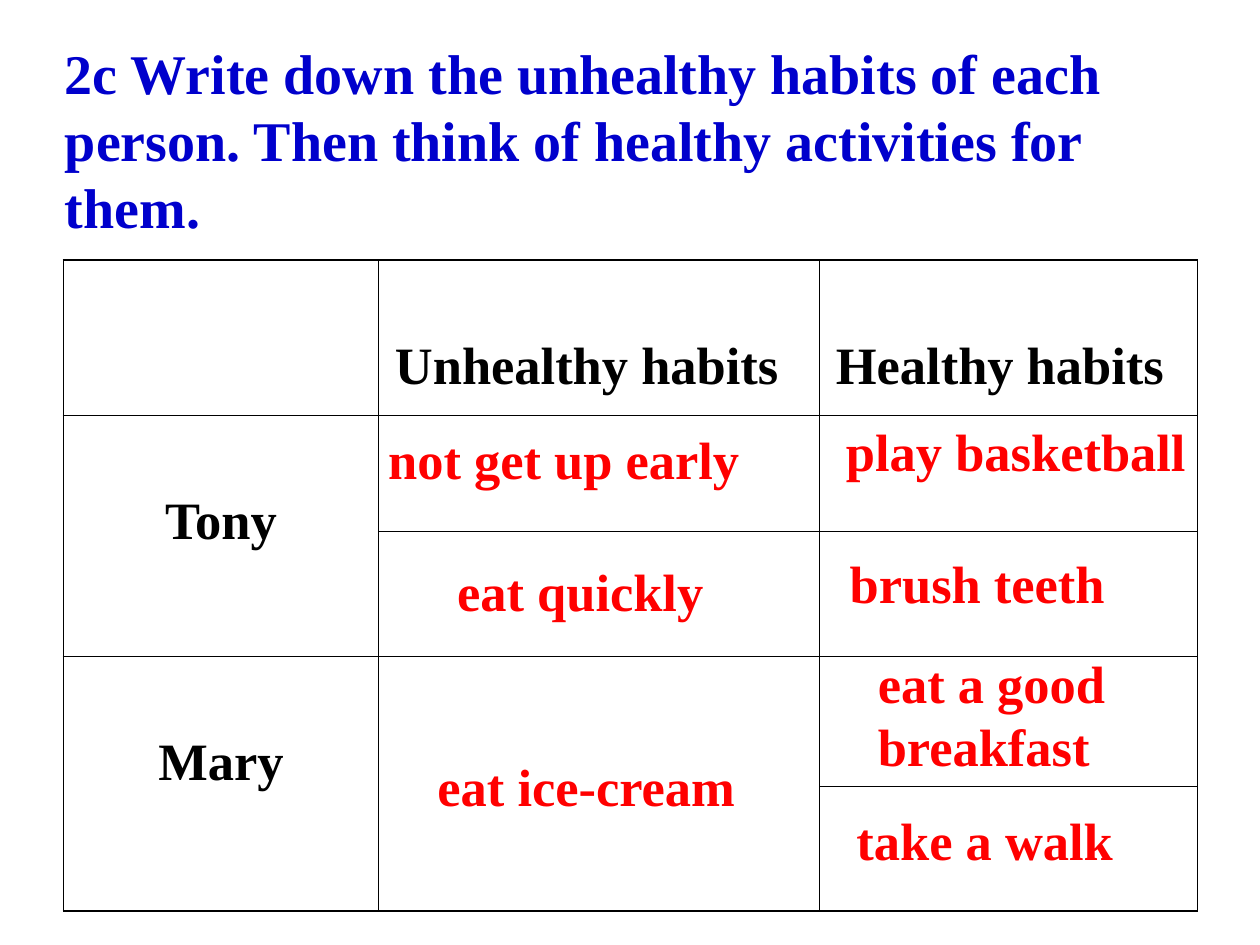
from lxml.etree import SubElement
from pptx import Presentation
from pptx.dml.color import RGBColor
from pptx.enum.text import MSO_ANCHOR, MSO_AUTO_SIZE, PP_ALIGN
from pptx.oxml.ns import qn
from pptx.util import Pt

TITLE = ("2c Write down the unhealthy habits of each person. "
         "Then think of healthy activities for them.")
TITLE_BOX = (29.9, 29.9, 660, 99.2)
TABLE_LEFT, TABLE_TOP = 36.3, 148.6
COLUMNS = [180, 252, 216]
ROWS = [88.6, 66.3, 71.4, 74.3, 71.4]
MERGES = [((1, 0), (2, 0)), ((3, 0), (4, 0)), ((3, 1), (4, 1))]
LABELS = {
    (0, 1): ("Unhealthy habits", PP_ALIGN.LEFT),
    (0, 2): ("Healthy habits", PP_ALIGN.LEFT),
    (1, 0): ("Tony", PP_ALIGN.CENTER),
    (3, 0): ("Mary", PP_ALIGN.CENTER),
}
ANSWERS = [
    (["not get up early"], 212.4, 239.6, 219.6),
    (["eat quickly"], 251.8, 314.9, 159.8),
    (["play basketball"], 474, 235, 213.1),
    (["brush teeth"], 476.1, 310.3, 164.9),
    (["eat ice-cream"], 240.6, 426.2, 189.4),
    (["eat a good", "breakfast"], 492.2, 367.2, 156.2),
    (["take a walk"], 480, 457.2, 165.6),
]
LINE_HEIGHT = 36
OUTER, INNER = 1.08, 0.45


def color(value):
    return RGBColor.from_string(value)


def apply(target, values):
    for name, value in values.items():
        setattr(target, name, value)


def write(p, text, size, hex_color):
    r = p.add_run()
    r.text = text
    apply(r.font, {"name": "Times New Roman", "size": Pt(size), "bold": True})
    r.font.color.rgb = color(hex_color)


def set_borders(cell, row, col):
    last_row = row + (cell.span_height if cell.is_merge_origin else 1)
    outside = {"L": col == 0, "R": col == len(COLUMNS) - 1,
               "T": row == 0, "B": last_row == len(ROWS)}
    tc_pr = cell._tc.get_or_add_tcPr()
    for index, (side, outer) in enumerate(outside.items()):
        ln = SubElement(tc_pr, qn(f"a:ln{side}"), w=str(Pt(OUTER if outer else INNER)))
        fill = SubElement(ln, qn("a:solidFill"))
        SubElement(fill, qn("a:srgbClr"), val="000000")
        tc_pr.remove(ln)
        tc_pr.insert(index, ln)


def add_title(s):
    title = s.shapes.title
    apply(title, dict(zip(("left", "top", "width", "height"), map(Pt, TITLE_BOX))))
    tf = title.text_frame
    apply(tf, {"word_wrap": True, "auto_size": MSO_AUTO_SIZE.NONE,
               "vertical_anchor": MSO_ANCHOR.MIDDLE})
    p = tf.paragraphs[0]
    p.alignment = PP_ALIGN.LEFT
    write(p, TITLE, 32, "0000CC")


def add_habits_table(s):
    table = s.shapes.add_table(len(ROWS), len(COLUMNS), Pt(TABLE_LEFT), Pt(TABLE_TOP),
                               Pt(sum(COLUMNS)), Pt(sum(ROWS))).table
    apply(table, {"first_row": False, "horz_banding": False})
    for column, width in zip(table.columns, COLUMNS):
        column.width = Pt(width)
    for row, height in zip(table.rows, ROWS):
        row.height = Pt(height)
    for first, last in MERGES:
        table.cell(*first).merge(table.cell(*last))
    for row in range(len(ROWS)):
        for col in range(len(COLUMNS)):
            cell = table.cell(row, col)
            cell.fill.background()
            set_borders(cell, row, col)
    for place, (text, alignment) in LABELS.items():
        cell = table.cell(*place)
        apply(cell, {"margin_left": Pt(9.4), "margin_right": Pt(9.4),
                     "margin_top": Pt(44.6), "margin_bottom": Pt(3.6)})
        p = cell.text_frame.paragraphs[0]
        p.alignment = alignment
        write(p, text, 30, "000000")


def add_answer(s, lines, left, top, width):
    height = len(lines) * LINE_HEIGHT + 9.4
    tf = s.shapes.add_textbox(Pt(left), Pt(top), Pt(width), Pt(height)).text_frame
    apply(tf, {"word_wrap": True, "auto_size": MSO_AUTO_SIZE.NONE,
               "margin_left": Pt(9.4), "margin_right": Pt(3),
               "margin_top": Pt(4.7), "margin_bottom": Pt(4.7)})
    for index, line in enumerate(lines):
        p = tf.add_paragraph() if index else tf.paragraphs[0]
        write(p, line, 30, "FF0000")


def main():
    prs = Presentation()
    apply(prs, {"slide_width": Pt(720), "slide_height": Pt(540)})
    s = prs.slides.add_slide(prs.slide_layouts[5])
    add_title(s)
    add_habits_table(s)
    for answer in ANSWERS:
        add_answer(s, *answer)
    prs.save("out.pptx")


if __name__ == "__main__":
    main()
